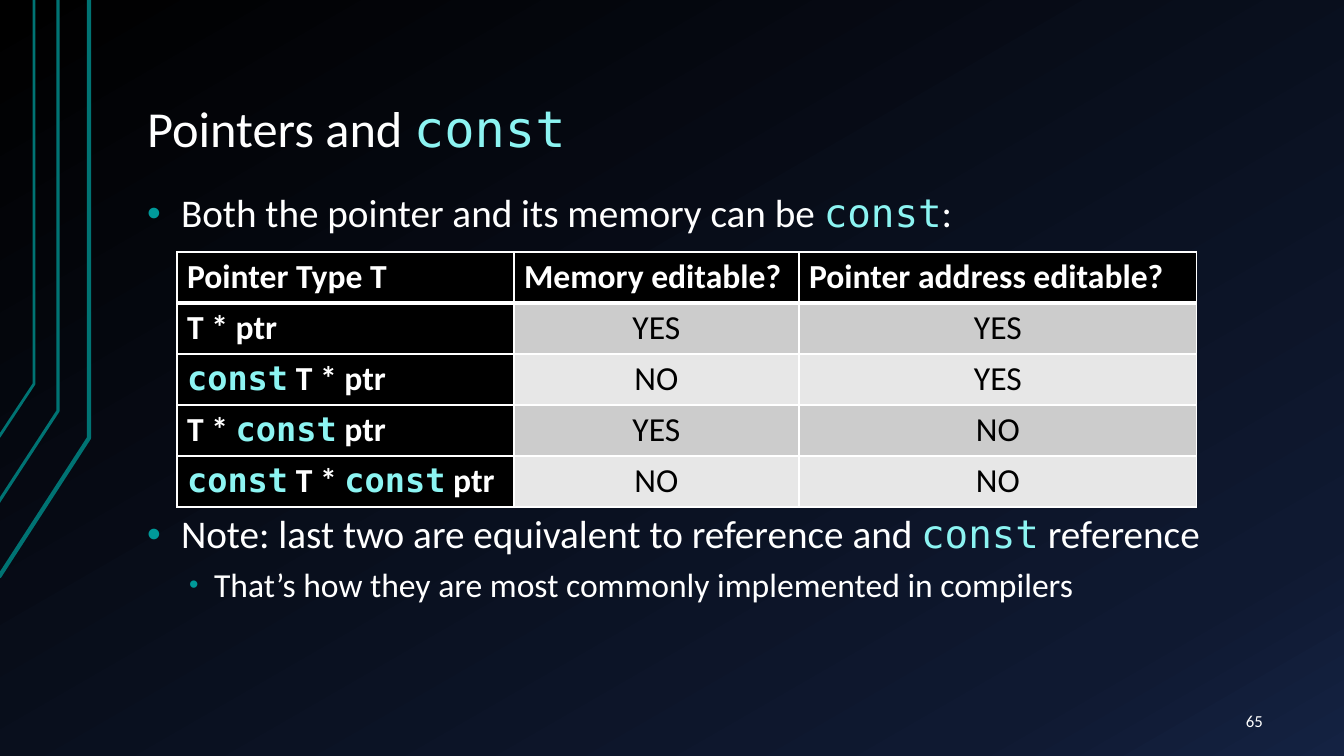
from copy import deepcopy
from lxml import etree
from pptx import Presentation
from pptx import util as u
from pptx.dml.color import RGBColor
from pptx.enum import text
from pptx.oxml import ns

PX = 914400 / 100.8
SANS, MONO = "Calibri", "DejaVu Sans Mono"
WHITE, BLACK, CODE, BULLET, LINE = "FFFFFF", "000000", "8CF4F2", "009999", "007373"
LEFT, CENTER, RIGHT = text.PP_ALIGN.LEFT, text.PP_ALIGN.CENTER, text.PP_ALIGN.RIGHT


def rgb(value):
    return RGBColor.from_string(value)


def add_runs(p, content, size, color=WHITE, bold=False):
    """Add runs to a paragraph; backticks enclose code."""
    for i, part in enumerate(content.split("`")):
        if part:
            r = p.add_run()
            r.text = part
            r.font.size, r.font.bold = u.Pt(size), bold
            r.font.name = MONO if i % 2 else SANS
            r.font.color.rgb = rgb(CODE if i % 2 else color)


prs = Presentation()
prs.slide_width, prs.slide_height = round(1344 * PX), round(756 * PX)
s = prs.slides.add_slide(prs.slide_layouts[6])

# Background gradient
fill = s.background.fill
fill.gradient()
fill.gradient_angle = 300
last_stop = s._element.xpath(".//a:gs")[-1]
last_stop.addnext(deepcopy(last_stop))
stops = [(0, BLACK), (0.85, "0F1931"), (1, "142242")]
for stop, (position, color) in zip(fill.gradient_stops, stops):
    stop.position = position
    stop.color.rgb = rgb(color)

# Bent lines on the left edge
for start, bend, width in [((-1, 577), (89, 438), 3),
                           ((-2, 503), (58, 411), 2.25),
                           ((-1, 437), (34, 384), 2)]:
    builder = s.shapes.build_freeform(*start, scale=PX)
    builder.add_line_segments([bend, (bend[0], 0)], close=False)
    sp = builder.convert_to_shape()
    sp.shadow.inherit = False
    sp.fill.background()
    sp.line.color.rgb = rgb(LINE)
    sp.line.width = u.Pt(width)

# Text boxes: title, body, slide number
frames = []
for box, anchor in [((134, 30, 1142, 135), text.MSO_ANCHOR.BOTTOM),
                    ((134, 187, 1142, 492), text.MSO_ANCHOR.TOP),
                    ((1164, 701, 112, 40), text.MSO_ANCHOR.MIDDLE)]:
    tf = s.shapes.add_textbox(*[round(v * PX) for v in box]).text_frame
    tf.word_wrap = True
    tf.vertical_anchor = anchor
    tf.margin_left = tf.margin_right = round(13 * PX)
    tf.margin_top = tf.margin_bottom = round(7 * PX)
    frames.append(tf)
title, body, number = frames

p = title.paragraphs[0]
p.line_spacing = 0.9
add_runs(p, "Pointers and `const`", 36)

p = number.paragraphs[0]
p.alignment = RIGHT
add_runs(p, "65", 12)

# Bullets; the space before the second one leaves room for the table
bullets = [
    ("Both the pointer and its memory can be `const`:", 28, 0, 0, 34, 34, 100),
    ("Note: last two are equivalent to reference and `const` reference",
     28, 199, 0, 34, 34, 100),
    ("That’s how they are most commonly implemented in compilers",
     24, 8, 1, 67, 25, 80),
]
for i, (content, size, before, level, margin, hang, percent) in enumerate(bullets):
    p = body.paragraphs[0] if i == 0 else body.add_paragraph()
    p.line_spacing, p.space_before, p.level = 0.9, u.Pt(before), level
    add_runs(p, content, size)
    pPr = p._p.get_or_add_pPr()
    pPr.set("marL", str(round(margin * PX)))
    pPr.set("indent", str(round(-hang * PX)))
    color = etree.SubElement(pPr, ns.qn("a:buClr"))
    etree.SubElement(color, ns.qn("a:srgbClr"), val=BULLET)
    etree.SubElement(pPr, ns.qn("a:buSzPct"), val=str(percent * 1000))
    etree.SubElement(pPr, ns.qn("a:buFont"), typeface="Arial")
    etree.SubElement(pPr, ns.qn("a:buChar"), char="•")

# Table
rows = [
    ("Pointer Type T", "Memory editable?", "Pointer address editable?"),
    ("T * ptr", "YES", "YES"),
    ("`const` T * ptr", "NO", "YES"),
    ("T * `const` ptr", "YES", "NO"),
    ("`const` T * `const` ptr", "NO", "NO"),
]
widths, row_height = (337, 285, 398), 51
table = s.shapes.add_table(
    len(rows), len(widths), round(177 * PX), round(252 * PX),
    round(sum(widths) * PX), round(row_height * len(rows) * PX)).table
for column, width in zip(table.columns, widths):
    column.width = round(width * PX)
for i, row in enumerate(rows):
    table.rows[i].height = round(row_height * PX)
    for j, content in enumerate(row):
        cell = table.cell(i, j)
        heading = i == 0 or j == 0
        tcPr = cell._tc.get_or_add_tcPr()
        for side in "LRTB":
            thick = (i, side) in [(0, "B"), (1, "T")]
            ln = etree.SubElement(tcPr, ns.qn("a:ln" + side),
                                  w=str(u.Pt(3 if thick else 1)))
            solid = etree.SubElement(ln, ns.qn("a:solidFill"))
            etree.SubElement(solid, ns.qn("a:srgbClr"), val=WHITE)
        cell.fill.solid()
        band = "CCCCCC" if i % 2 else "E7E7E7"
        cell.fill.fore_color.rgb = rgb(BLACK if heading else band)
        p = cell.text_frame.paragraphs[0]
        p.alignment = LEFT if heading else CENTER
        add_runs(p, content, 24, WHITE if heading else BLACK, heading)

prs.save("out.pptx")
